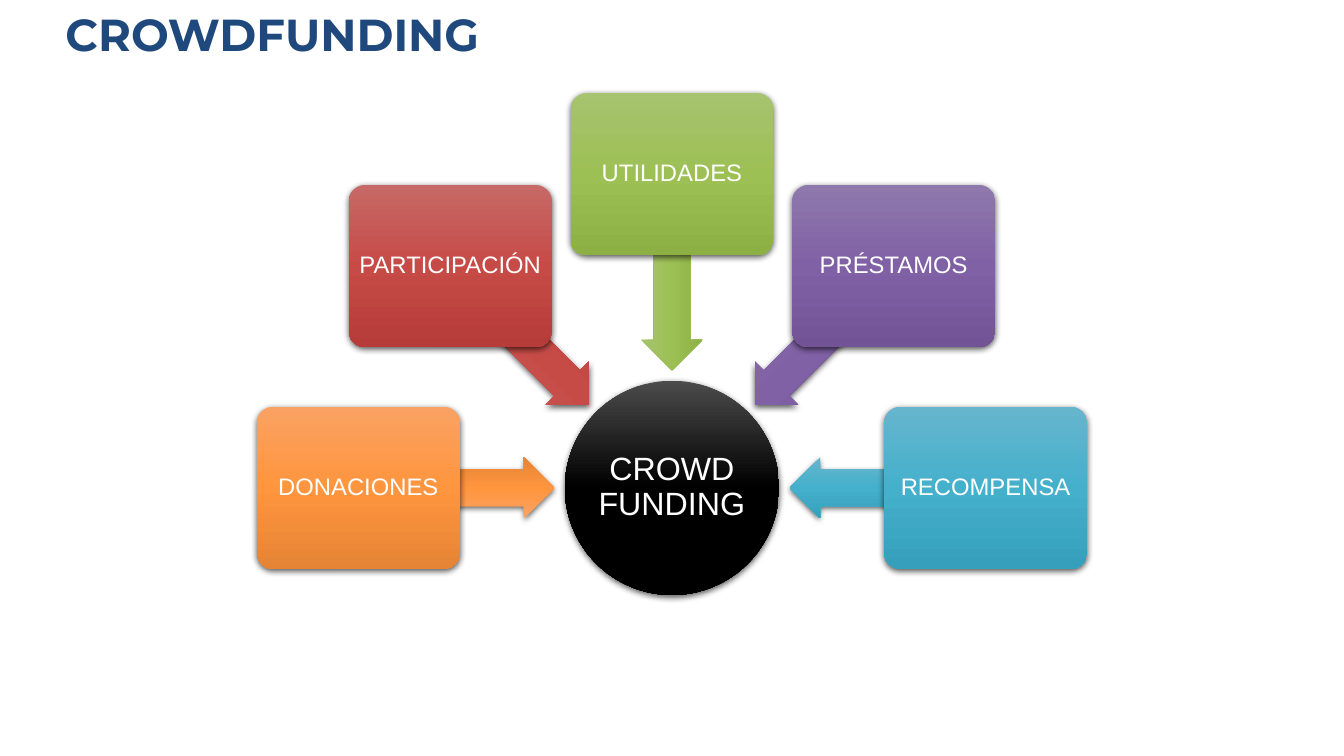
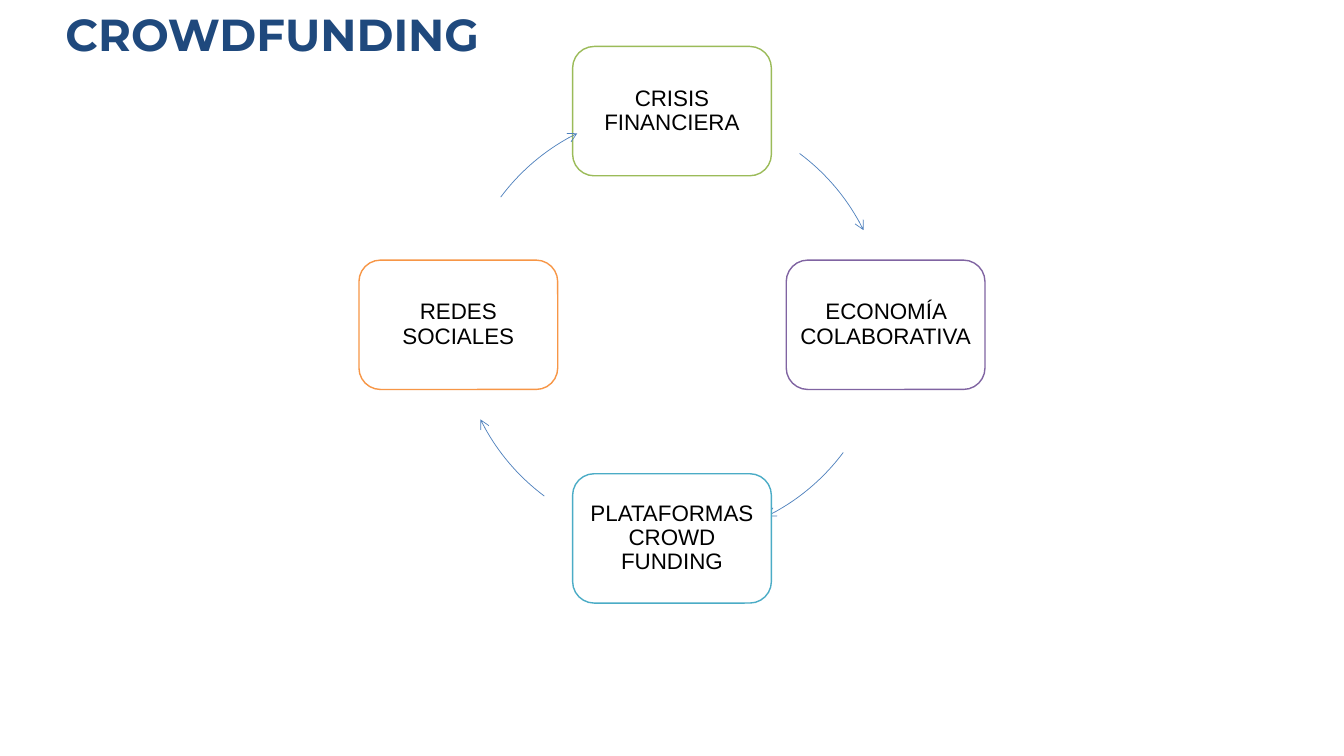
from copy import deepcopy
from math import cos, radians, sin

from lxml.etree import SubElement
from pptx import Presentation
from pptx.dml.color import RGBColor
from pptx.enum.shapes import MSO_SHAPE
from pptx.enum.text import MSO_ANCHOR, PP_ALIGN
from pptx.oxml.ns import qn
from pptx.util import Pt

# Shared style
TITLE_FONT, BODY_FONT = "Montserrat", "Arial"
NAVY = RGBColor(0x1F, 0x49, 0x7D)
BLUE = RGBColor(0x4F, 0x81, 0xBD)
WHITE = RGBColor(0xFF, 0xFF, 0xFF)
BLACK = RGBColor(0x00, 0x00, 0x00)
GREEN = RGBColor(0x9B, 0xBB, 0x59)
PURPLE = RGBColor(0x80, 0x64, 0xA2)
AQUA = RGBColor(0x4B, 0xAC, 0xC6)
ORANGE = RGBColor(0xF7, 0x96, 0x46)

# Gradients: top, middle and bottom colour
BLACK_SHADES = (RGBColor(0x4B, 0x4B, 0x4B), BLACK, BLACK)
ORANGE_SHADES = (RGBColor(0xFA, 0xA2, 0x63), RGBColor(0xFF, 0x95, 0x3E), RGBColor(0xE5, 0x84, 0x35))
RED_SHADES = (RGBColor(0xC7, 0x69, 0x67), RGBColor(0xC6, 0x4B, 0x47), RGBColor(0xB6, 0x3C, 0x39))
GREEN_SHADES = (RGBColor(0xA6, 0xC3, 0x6F), RGBColor(0x9D, 0xC0, 0x54), RGBColor(0x8D, 0xB0, 0x45))
PURPLE_SHADES = (RGBColor(0x8E, 0x78, 0xAC), RGBColor(0x80, 0x61, 0xA5), RGBColor(0x71, 0x53, 0x96))
AQUA_SHADES = (RGBColor(0x66, 0xB5, 0xCD), RGBColor(0x45, 0xB0, 0xCC), RGBColor(0x36, 0xA0, 0xBC))

# Diagram geometry, in points
CENTER_X = 480
HUB_Y, HUB_SIZE = 348.5, 153
BOX_RADIUS, ARROW_RADIUS = 224, 154
CYCLE_Y, CYCLE_RADIUS = 232, 152.6
ARC_START, ARC_SWEEP = -53.3, 27

FUNDING_TYPES = [
    ("DONACIONES", ORANGE_SHADES),
    ("PARTICIPACIÓN", RED_SHADES),
    ("UTILIDADES", GREEN_SHADES),
    ("PRÉSTAMOS", PURPLE_SHADES),
    ("RECOMPENSA", AQUA_SHADES),
]
CYCLE_STEPS = [
    ("CRISIS FINANCIERA", GREEN),
    ("ECONOMÍA COLABORATIVA", PURPLE),
    ("PLATAFORMAS CROWD FUNDING", AQUA),
    ("REDES SOCIALES", ORANGE),
]


def on_circle(center_y, radius, angle):
    """Point at an angle in degrees, clockwise from the right."""
    turn = radians(angle)
    return CENTER_X + radius * cos(turn), center_y + radius * sin(turn)


def add_centered(page, kind, center, width, height):
    """Plain shape around a centre point, without line or shadow."""
    x, y = center
    shape = page.shapes.add_shape(
        kind, Pt(x - width / 2), Pt(y - height / 2), Pt(width), Pt(height))
    shape.shadow.inherit = False
    shape.line.fill.background()
    return shape


def set_line(shape, color, width):
    shape.line.color.rgb = color
    shape.line.width = Pt(width)


def fill_gradient(shape, shades):
    shape.fill.gradient()
    shape.fill.gradient_angle = 270
    stop_list = shape.fill._fill._gradFill.find(qn("a:gsLst"))
    stop_list.append(deepcopy(stop_list[0]))
    for stop, position, color in zip(shape.fill.gradient_stops, (0, 0.5, 1), shades):
        stop.position = position
        stop.color.rgb = color


def add_shadow(shape):
    effects = shape._element.spPr.find(qn("a:effectLst"))
    shadow = SubElement(effects, qn("a:outerShdw"), blurRad=str(Pt(4.5)),
                        dist=str(Pt(1.5)), dir="5400000", rotWithShape="0")
    color = SubElement(shadow, qn("a:srgbClr"), val=str(BLACK))
    SubElement(color, qn("a:alpha"), val="63000")


def add_span(para, text, font_name, size, color, bold=False):
    span = para.add_run()
    span.text = text
    span.font.name = font_name
    span.font.size = Pt(size)
    span.font.color.rgb = color
    span.font.bold = bold


def add_label(shape, text, size, color, inset):
    frame = shape.text_frame
    frame.word_wrap = True
    frame.vertical_anchor = MSO_ANCHOR.MIDDLE
    frame.margin_left = frame.margin_right = Pt(inset)
    frame.margin_top = frame.margin_bottom = Pt(inset)
    para = frame.paragraphs[0]
    para.alignment = PP_ALIGN.CENTER
    para.line_spacing = 0.9
    add_span(para, text, BODY_FONT, size, color)


def add_title(page):
    box = page.shapes.add_textbox(Pt(39.6), Pt(1.4), Pt(765), Pt(90))
    box.text_frame.word_wrap = True
    add_span(box.text_frame.paragraphs[0], "CROWDFUNDING", TITLE_FONT, 32, NAVY, True)


def add_inward_arrow(page, angle, shades):
    arrow = add_centered(page, MSO_SHAPE.LEFT_ARROW,
                         on_circle(HUB_Y, ARROW_RADIUS, angle), 140, 43.5)
    arrow.adjustments[0], arrow.adjustments[1] = 0.6, 0.5
    arrow.rotation = angle % 360
    fill_gradient(arrow, shades)
    if shades is GREEN_SHADES:
        set_line(arrow, GREEN, 0.5)
    else:
        add_shadow(arrow)


def add_type_box(page, angle, text, shades):
    box = add_centered(page, MSO_SHAPE.ROUNDED_RECTANGLE,
                       on_circle(HUB_Y, BOX_RADIUS, angle), 145, 116)
    box.adjustments[0] = 0.1
    fill_gradient(box, shades)
    add_shadow(box)
    add_label(box, text, 17, WHITE, 3)


def add_step_box(page, angle, text, color):
    box = add_centered(page, MSO_SHAPE.ROUNDED_RECTANGLE,
                       on_circle(CYCLE_Y, CYCLE_RADIUS, angle), 142, 92.4)
    box.fill.solid()
    box.fill.fore_color.rgb = WHITE
    set_line(box, color, 1)
    add_label(box, text, 16, BLACK, 4.5)


def add_arc_arrow(page, start):
    arc = add_centered(page, MSO_SHAPE.ARC, (CENTER_X, CYCLE_Y),
                       2 * CYCLE_RADIUS, 2 * CYCLE_RADIUS)
    # Arc angles count 60000 to the degree, adjustments 100000 to the unit
    for index, angle in enumerate((start, start + ARC_SWEEP)):
        arc.adjustments[index] = angle % 360 * 0.6
    arc.fill.background()
    set_line(arc, BLUE, 0.5)
    SubElement(arc.line._get_or_add_ln(), qn("a:tailEnd"), type="arrow")


def build_types_page(page):
    # Hub, then the five types on a half circle
    hub = add_centered(page, MSO_SHAPE.OVAL, (CENTER_X, HUB_Y), HUB_SIZE, HUB_SIZE)
    fill_gradient(hub, BLACK_SHADES)
    add_shadow(hub)
    add_label(hub, "CROWD FUNDING", 23, WHITE, 1.5)
    for index, (text, shades) in enumerate(FUNDING_TYPES):
        angle = 180 + 45 * index
        add_inward_arrow(page, angle, shades)
        add_type_box(page, angle, text, shades)
    add_title(page)


def build_cycle_page(page):
    # Four steps a quarter turn apart, each followed by its arrow
    for index, (text, color) in enumerate(CYCLE_STEPS):
        add_step_box(page, 90 * index - 90, text, color)
        add_arc_arrow(page, 90 * index + ARC_START)
    add_title(page)


def main():
    deck = Presentation()
    deck.slide_width, deck.slide_height = Pt(960), Pt(540)
    for build_page in (build_types_page, build_cycle_page):
        build_page(deck.slides.add_slide(deck.slide_layouts[6]))
    deck.save("out.pptx")


if __name__ == "__main__":
    main()
